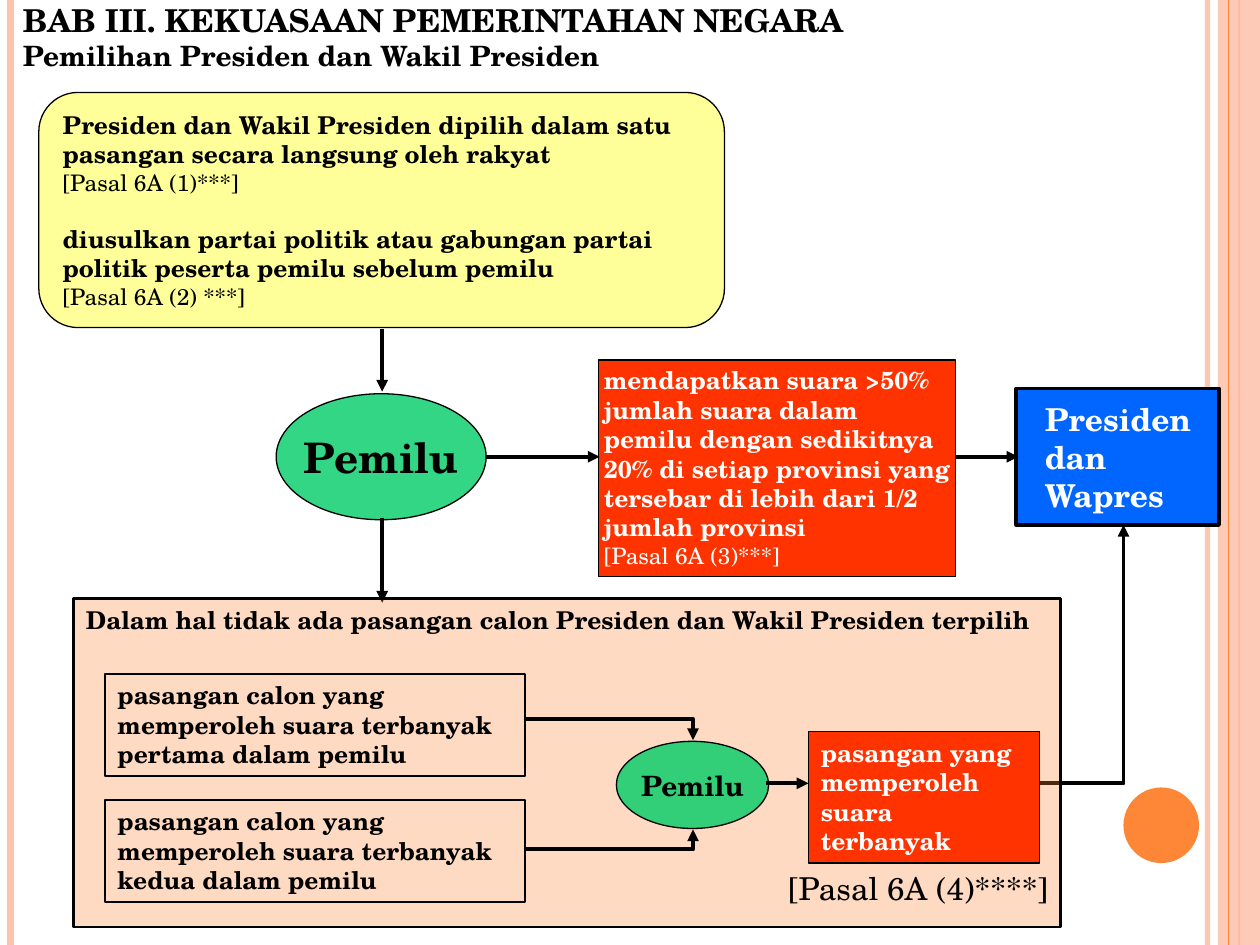
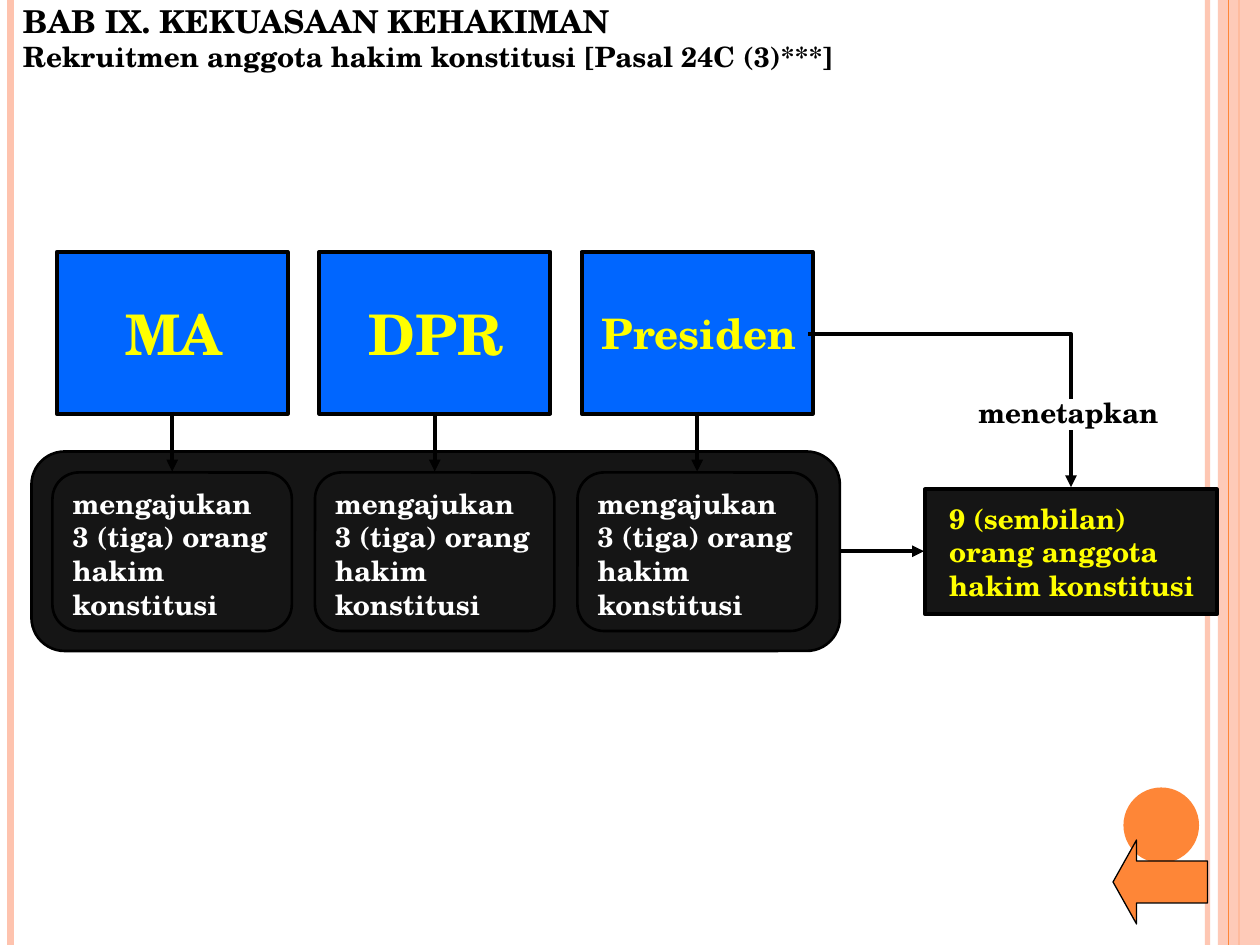
import pptx
import pptx.dml.color
import pptx.enum.shapes
import pptx.enum.text
import pptx.oxml
import pptx.oxml.ns
import pptx.util

SHAPE = pptx.enum.shapes.MSO_SHAPE
ALIGN = pptx.enum.text.PP_ALIGN
ANCHOR = pptx.enum.text.MSO_ANCHOR

BLACK, WHITE, YELLOW = "000000", "FFFFFF", "FFFF00"
PEACH, ORANGE, GREEN = "FEC3AE", "FE8637", "00CC66"
RED, BLUE, CHARCOAL = "FF3300", "0066FF", "151515"
THIN, MEDIUM, THICK = 0.75, 1.5, 2.25
COLUMNS, ROWS = 120, 90
SNUG = (0.5, 0.5, 0.2, 0.5)


def rgb(value):
    return pptx.dml.color.RGBColor.from_string(value)


def add_xml(parent, tag, **attributes):
    element = pptx.oxml.parse_xml(f"<a:{tag} {pptx.oxml.ns.nsdecls('a')}/>")
    for name, value in attributes.items():
        element.set(name, value)
    parent.append(element)


def set_all(target, values):
    for name, value in values.items():
        setattr(target, name, value)


class Sketch:
    font = "TeX Gyre Schola"
    inset = (1.2, 0.6, 1.2, 0.6)

    def __init__(self):
        self.deck = pptx.Presentation()
        self.deck.slide_width = pptx.util.Inches(10)
        self.deck.slide_height = pptx.util.Inches(7.5)
        self.page = None

    def across(self, columns):
        return round(self.deck.slide_width * columns / COLUMNS)

    def down(self, rows):
        return round(self.deck.slide_height * rows / ROWS)

    def frame(self, left, top, width, height):
        return self.across(left), self.down(top), self.across(width), self.down(height)

    def fade(self, properties, alpha):
        for color in properties.iter(pptx.oxml.ns.qn("a:srgbClr")):
            add_xml(color, "alpha", val=str(alpha * 1000))

    def new_page(self, *title, top):
        self.page = self.deck.slides.add_slide(self.deck.slide_layouts[6])
        for column, color, width, alpha in (
            (115, PEACH, 3, 93), (1, PEACH, 4.5, 100), (118, ORANGE, 1.5, 100)
        ):
            self.line((column, 0), (column, ROWS), color, width, alpha, arrow=False)
        self.shape(SHAPE.RECTANGLE, (116, 0, 4, ROWS), PEACH, alpha=87)
        self.line((117, 0), (117, ROWS), ORANGE, THIN, arrow=False)
        self.shape(SHAPE.OVAL, (107, 75, 7.2, 7.2), ORANGE)
        heading, subheading = title
        box = self.page.shapes.add_textbox(*self.frame(1, top, 94.5, 7.4))
        self.text(box, [(heading, {"size": 18}), (subheading, {"size": 16})])

    def shape(self, kind, place, fill=None, border=None, alpha=100):
        box = self.page.shapes.add_shape(kind, *self.frame(*place))
        box.shadow.inherit = False
        if fill:
            box.fill.solid()
            box.fill.fore_color.rgb = rgb(fill)
            if alpha < 100:
                self.fade(box._element.spPr, alpha)
        else:
            box.fill.background()
        if border:
            box.line.color.rgb = rgb(BLACK)
            box.line.width = pptx.util.Pt(border)
        else:
            box.line.fill.background()
        return box

    def text(self, box, paragraphs, color=BLACK, align=ALIGN.LEFT,
             anchor=ANCHOR.TOP, inset=inset, wrap=True):
        frame = box.text_frame
        left, top, right, bottom = inset
        set_all(frame, {
            "word_wrap": wrap, "vertical_anchor": anchor,
            "margin_left": self.across(left), "margin_right": self.across(right),
            "margin_top": self.down(top), "margin_bottom": self.down(bottom),
        })
        for index, (words, style) in enumerate(paragraphs):
            para = frame.add_paragraph() if index else frame.paragraphs[0]
            span = para.add_run()
            span.text = words
            set_all(para, {
                "alignment": style.get("align", align),
                "space_before": pptx.util.Pt(style.get("before", 0)),
            })
            set_all(span.font, {
                "name": self.font, "size": pptx.util.Pt(style.get("size", 14)),
                "bold": style.get("bold", True),
            })
            span.font.color.rgb = rgb(color)

    def label(self, kind, place, paragraphs, fill=None, border=None, alpha=100, **layout):
        self.text(self.shape(kind, place, fill, border, alpha), paragraphs, **layout)

    def stroke(self, item, color, width, alpha, arrow):
        item.line.color.rgb = rgb(color)
        item.line.width = pptx.util.Pt(width)
        outline = item._element.spPr.find(pptx.oxml.ns.qn("a:ln"))
        if alpha < 100:
            self.fade(outline, alpha)
        if arrow:
            add_xml(outline, "tailEnd", type="triangle")

    def line(self, start, end, color=BLACK, width=THICK, alpha=100, arrow=True):
        link = self.page.shapes.add_connector(
            pptx.enum.shapes.MSO_CONNECTOR.STRAIGHT,
            self.across(start[0]), self.down(start[1]),
            self.across(end[0]), self.down(end[1]),
        )
        self.stroke(link, color, width, alpha, arrow)
        add_xml(link._element.spPr, "effectLst")

    def elbow(self, *points, arrow=True):
        start, *corners = [(self.across(x), self.down(y)) for x, y in points]
        builder = self.page.shapes.build_freeform(*start, scale=1.0)
        builder.add_line_segments(corners, close=False)
        bend = builder.convert_to_shape()
        bend.shadow.inherit = False
        bend.fill.background()
        self.stroke(bend, BLACK, THICK, 100, arrow)

    def election(self, place, size):
        self.label(SHAPE.OVAL, place, [("Pemilu", {"size": size})], GREEN, THIN, 80,
                   align=ALIGN.CENTER, anchor=ANCHOR.MIDDLE, wrap=False)


def build_presidential_election(sketch):
    clause = {"size": 13, "bold": False}
    sketch.new_page("BAB III. KEKUASAAN PEMERINTAHAN NEGARA",
                    "Pemilihan Presiden dan Wakil Presiden", top=-0.5)
    sketch.election((26.3, 37.5, 20, 12), 24)
    sketch.label(SHAPE.RECTANGLE, (57, 34.3, 34, 20.6), [
        ("mendapatkan suara >50% jumlah suara dalam pemilu dengan sedikitnya 20% di setiap "
         "provinsi yang tersebar di lebih dari 1/2 jumlah provinsi", {}),
        ("[Pasal 6A (3)***]", clause),
    ], RED, THIN, color=WHITE, inset=SNUG)
    sketch.label(SHAPE.RECTANGLE, (96.8, 37, 19.3, 13),
                 [(word, {"size": 18}) for word in ("Presiden", "dan", "Wapres")],
                 BLUE, THICK, color=WHITE, anchor=ANCHOR.MIDDLE, inset=(2.7, 0, 0, 0))
    sketch.line((36.4, 49.3), (36.4, 57.4))
    sketch.elbow((99, 74.6), (107, 74.6), (107, 50))
    sketch.line((91, 43.5), (97, 43.5))
    sketch.line((36.4, 31.3), (36.4, 37.3))
    sketch.label(SHAPE.ROUNDED_RECTANGLE, (3.7, 8.8, 65.3, 22.4), [
        ("Presiden dan Wakil Presiden dipilih dalam satu pasangan secara langsung oleh rakyat", {}),
        ("[Pasal 6A (1)***]", clause),
        ("diusulkan partai politik atau gabungan partai politik peserta pemilu sebelum pemilu",
         {"before": 15.6}),
        ("[Pasal 6A (2) ***]", clause),
    ], YELLOW, THIN, 40)
    sketch.line((46.3, 43.5), (57.1, 43.5))
    sketch.label(SHAPE.RECTANGLE, (7, 57, 94, 31.3), [
        ("Dalam hal tidak ada pasangan calon Presiden dan Wakil Presiden terpilih", {}),
        ("[Pasal 6A (4)****]",
         {"size": 18, "bold": False, "before": 134.4, "align": ALIGN.RIGHT}),
    ], ORANGE, MEDIUM, 30)
    for index, rank in enumerate(("pertama", "kedua")):
        sketch.label(
            SHAPE.RECTANGLE, (10, 64.2 + 12 * index, 40, 9.7),
            [(f"pasangan calon yang memperoleh suara terbanyak {rank} dalam pemilu", {})],
            border=THIN)
    sketch.election((58.7, 70.6, 14.5, 8.3), 16)
    sketch.label(SHAPE.RECTANGLE, (77, 69.7, 22, 12.5),
                 [("pasangan yang memperoleh suara terbanyak", {})], RED, THIN, color=WHITE)
    sketch.line((73, 74.6), (77, 74.6))
    for row, target in ((68.5, 70.5), (80.9, 79)):
        sketch.elbow((50, row), (66, row), (66, target))


def build_judge_recruitment(sketch):
    medium = {"size": 16}
    sketch.new_page("BAB IX. KEKUASAAN KEHAKIMAN",
                    "Rekruitmen anggota hakim konstitusi [Pasal 24C (3)***]", top=-0.4)
    sketch.shape(SHAPE.ROUNDED_RECTANGLE, (3, 43, 77, 19), CHARCOAL, MEDIUM)
    for index, (body, size) in enumerate((("MA", 32), ("DPR", 32), ("Presiden", 24))):
        shift = 25 * index
        sketch.label(SHAPE.RECTANGLE, (5.4 + shift, 24, 22, 15.4), [(body, {"size": size})],
                     BLUE, THICK, color=YELLOW, align=ALIGN.CENTER,
                     anchor=ANCHOR.MIDDLE, inset=SNUG)
        sketch.label(SHAPE.ROUNDED_RECTANGLE, (5 + shift, 45, 22.8, 15.1),
                     [("mengajukan 3 (tiga) orang hakim konstitusi", medium)],
                     CHARCOAL, MEDIUM, color=WHITE)
        sketch.line((16.4 + shift, 39.2), (16.4 + shift, 44.9))
    sketch.label(SHAPE.RECTANGLE, (88.1, 46.6, 27.8, 11.9),
                 [("9 (sembilan) orang anggota hakim konstitusi", medium)], CHARCOAL, THICK,
                 color=YELLOW, anchor=ANCHOR.MIDDLE, inset=(2.3, 0.6, 1.2, 0.6))
    sketch.label(SHAPE.ROUNDED_RECTANGLE, (91.7, 36.8, 21, 6), [("menetapkan", medium)])
    sketch.elbow((77, 31.8), (102, 31.8), (102, 38), arrow=False)
    sketch.line((102, 41), (102, 46.4))
    sketch.line((80, 52.5), (88, 52.5))
    back = sketch.shape(SHAPE.LEFT_ARROW, (106, 80, 9, 8), ORANGE, THIN)
    back.adjustments[1] = 0.28


def main():
    sketch = Sketch()
    build_presidential_election(sketch)
    build_judge_recruitment(sketch)
    sketch.deck.save("out.pptx")


if __name__ == "__main__":
    main()
